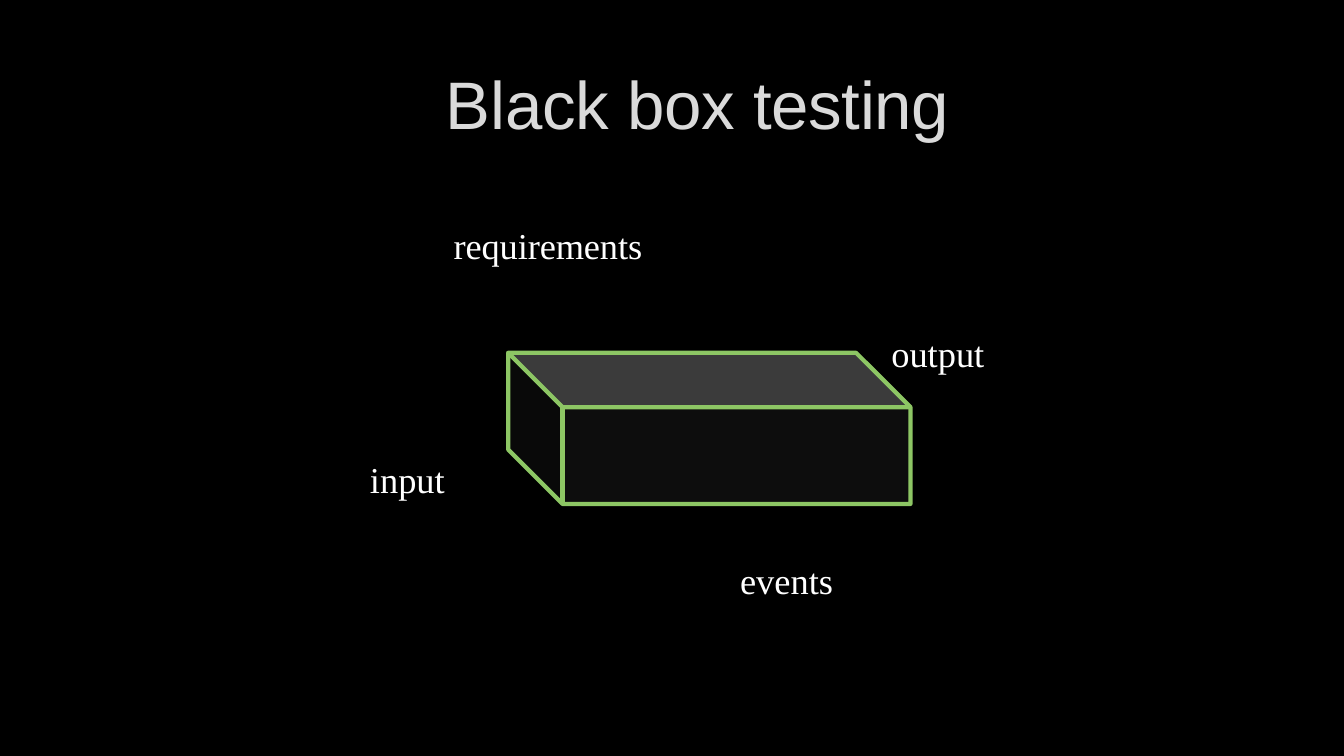
from lxml.etree import SubElement
from pptx import Presentation
from pptx.dml.color import RGBColor
from pptx.enum.text import MSO_ANCHOR as Anchor, MSO_AUTO_SIZE as AutoSize, PP_ALIGN as Align
from pptx.oxml.ns import qn
from pptx.util import Pt

PX = 9144
SLIDE_SIZE = (1333, 750)
TITLE = "Black box testing"
TITLE_BOX = (425, 60, 534, 82)
LABELS = [
    ("requirements", (450, 219, 191, 46), -10),
    ("input", (367, 452, 77, 46), 0),
    ("events", (734, 552, 95, 46), 0),
    ("output", (884, 327, 95, 46), 0),
]
FRONT_LEFT, FRONT_TOP, FRONT_WIDTH, FRONT_HEIGHT = 558, 404, 345, 96
DEPTH = 54
FRONT_FILL, SIDE_FILL, TOP_FILL, EDGE_COLOR = "0D0D0D", "090909", "3B3B3B", "8DC664"


def color(value):
    return RGBColor.from_string(value)


def write(holder, text, box, size, font, ink, spacing=0, align=Align.LEFT, anchor=Anchor.TOP):
    holder.left, holder.top, holder.width, holder.height = [n * PX for n in box]
    frame = holder.text_frame
    frame.word_wrap = True
    frame.auto_size = AutoSize.NONE
    frame.vertical_anchor = anchor
    frame.margin_left = frame.margin_right = frame.margin_bottom = 0
    frame.margin_top = 2 * PX
    paragraph = frame.paragraphs[0]
    paragraph.alignment = align
    run = paragraph.add_run()
    run.text = text
    run.font.size, run.font.name = Pt(size), font
    run.font.color.rgb = color(ink)
    run.font._element.set("spc", str(spacing))


def draw(slide, contours, fill=None, edge=None):
    builder = slide.shapes.build_freeform(*contours[0][0], scale=PX)
    for number, points in enumerate(contours):
        if number:
            builder.move_to(*points[0])
        builder.add_line_segments(points[1:], close=len(points) > 3)
    outline = builder.convert_to_shape()
    outline.shadow.inherit = False
    if fill:
        outline.fill.solid()
        outline.fill.fore_color.rgb = color(fill)
    else:
        outline.fill.background()
    if edge:
        outline.line.color.rgb = color(edge)
        outline.line.width = Pt(3)
        SubElement(outline.line._get_or_add_ln(), qn("a:round"))
    else:
        outline.line.fill.background()


def draw_box(slide):
    right, bottom = FRONT_LEFT + FRONT_WIDTH, FRONT_TOP + FRONT_HEIGHT
    front = [(FRONT_LEFT, FRONT_TOP), (right, FRONT_TOP), (right, bottom), (FRONT_LEFT, bottom)]
    back = [(x - DEPTH, y - DEPTH) for x, y in front]
    draw(slide, [front], fill=FRONT_FILL)
    draw(slide, [[back[0], back[3], front[3], front[0]]], fill=SIDE_FILL)
    draw(slide, [[back[0], back[1], front[1], front[0]]], fill=TOP_FILL)
    silhouette = [front[1], back[1], back[0], back[3], front[3], front[2]]
    edges = [silhouette, [front[1], front[0], back[0]], [front[0], front[3]]]
    draw(slide, edges, edge=EDGE_COLOR)


def main():
    deck = Presentation()
    deck.slide_width, deck.slide_height = [n * PX for n in SLIDE_SIZE]
    slide = deck.slides.add_slide(deck.slide_layouts[5])
    slide.background.fill.solid()
    slide.background.fill.fore_color.rgb = color("000000")
    write(slide.shapes.title, TITLE, TITLE_BOX, 48, "Arial", "DADADA",
          spacing=-20, align=Align.CENTER, anchor=Anchor.MIDDLE)
    draw_box(slide)
    for text, box, spacing in LABELS:
        label = slide.shapes.add_textbox(0, 0, PX, PX)
        write(label, text, box, 26, "Times New Roman", "FFFFFF", spacing=spacing)
    deck.save("out.pptx")


if __name__ == "__main__":
    main()
